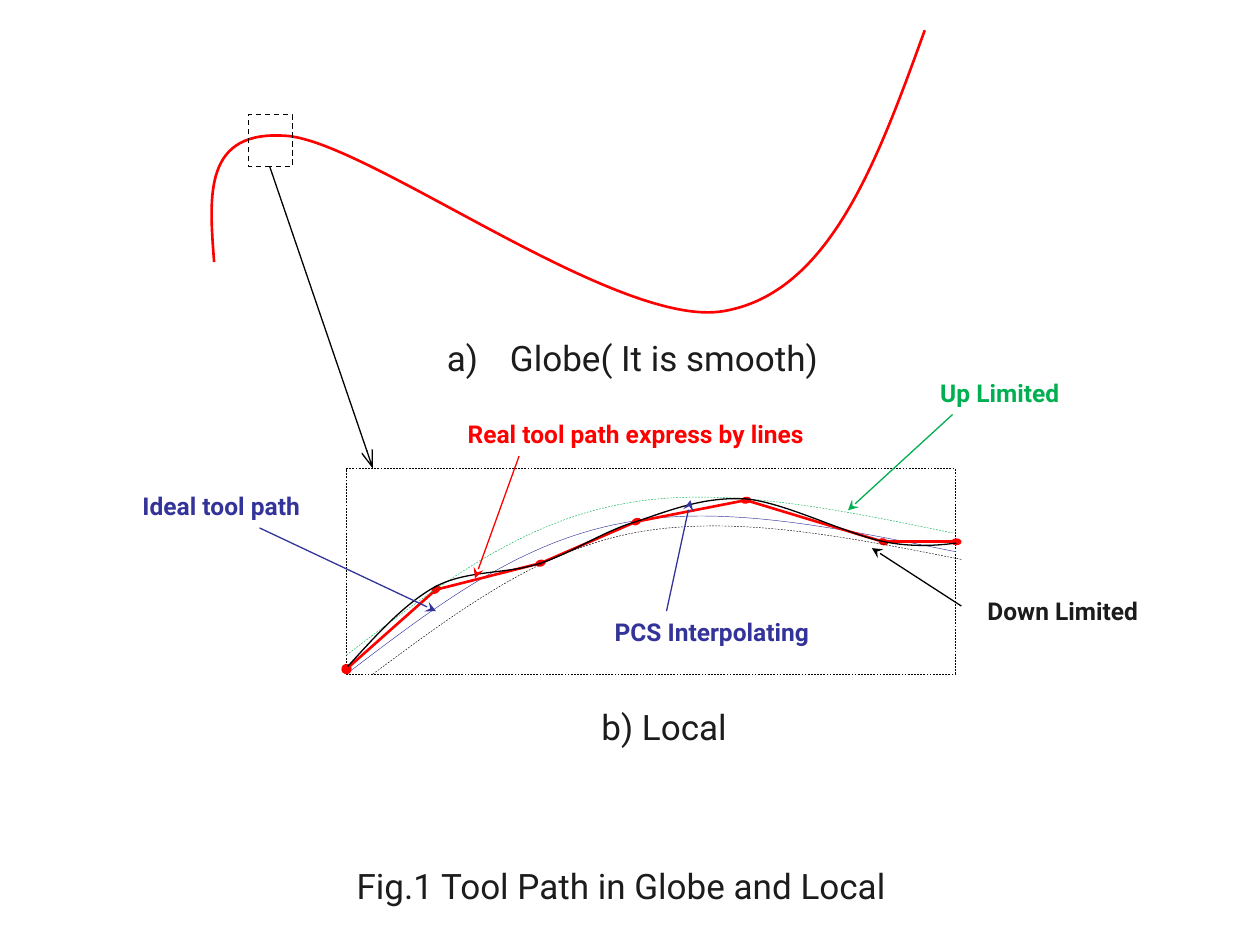
import itertools

import pptx
import pptx.dml.color
import pptx.enum.dml
import pptx.enum.shapes
import pptx.enum.text
import pptx.oxml
import pptx.oxml.ns
import pptx.util

RGB = pptx.dml.color.RGBColor
RED = RGB(0xFF, 0x00, 0x00)
GREEN = RGB(0x00, 0xB0, 0x50)
BLUE = RGB(0x33, 0x33, 0x99)
BLACK = RGB(0x00, 0x00, 0x00)
INK = RGB(0x1C, 0x1C, 0x1C)

FONT = "Roboto"
# The slide is a grid of 1000 columns by 750 rows; all lengths count its cells.
COLUMNS, ROWS = 1000, 750
CELL = pptx.util.Inches(10) // COLUMNS

ROUND_DOT = {"type": "oval"}
FLAT_DOT = {"type": "oval", "w": "sm", "len": "med"}
STEALTH = {"type": "stealth"}
LONG_ARROW = {"type": "arrow", "w": "med", "len": "lg"}


def place(box, point):
    """Turn a point given in cells from the box corner into slide lengths."""
    return (box[0] + point[0]) * CELL, (box[1] + point[1]) * CELL


def style_line(shape, color, width, dashed=False):
    shape.line.color.rgb = color
    shape.line.width = pptx.util.Pt(width)
    if dashed:
        shape.line.dash_style = pptx.enum.dml.MSO_LINE.DASH


def add_element(parent, tag, **attributes):
    element = pptx.oxml.parse_xml(f"<{tag} {pptx.oxml.ns.nsdecls('a')}/>")
    for name, value in attributes.items():
        element.set(name, str(value))
    parent.append(element)
    return element


def add_line(slide, box, start, end, color, width, head=None, tail=None):
    line = slide.shapes.add_connector(
        pptx.enum.shapes.MSO_CONNECTOR.STRAIGHT, *place(box, start), *place(box, end))
    style_line(line, color, width)
    outline = line.line._get_or_add_ln()
    for tag, ending in (("a:headEnd", head), ("a:tailEnd", tail)):
        if ending:
            add_element(outline, tag, **ending)
    add_element(line._element.spPr, "a:effectLst")


def add_curve(slide, box, extent, points, color, width, dashed=False):
    """Draw joined cubic curves: a start, then two controls and an end for each.

    The extent is the left, top, width and height that the curve covers.
    """
    left, top, across, down = extent
    builder = slide.shapes.build_freeform(*place(box, (left, top)))
    builder.add_line_segments([place(box, (left + across, top + down))], close=False)
    curve = builder.convert_to_shape()
    outline = next(curve._element.iter(pptx.oxml.ns.qn("a:path")))
    for segment in list(outline):
        outline.remove(segment)

    def add_segment(tag, stops):
        segment = add_element(outline, tag)
        for x, y in stops:
            add_element(segment, "a:pt", x=(x - left) * CELL, y=(y - top) * CELL)

    add_segment("a:moveTo", points[:1])
    for first in range(1, len(points), 3):
        add_segment("a:cubicBezTo", points[first:first + 3])
    curve.shadow.inherit = False
    curve.fill.background()
    style_line(curve, color, width, dashed)


def add_frame(slide, box, size, width, corner=(0, 0)):
    frame = slide.shapes.add_shape(
        pptx.enum.shapes.MSO_SHAPE.RECTANGLE, *place(box, corner),
        size[0] * CELL, size[1] * CELL)
    frame.shadow.inherit = False
    frame.fill.background()
    style_line(frame, BLACK, width, dashed=True)


def add_text(slide, box, corner, size, text, color=INK, points=20, bold=False,
             numbered=False):
    text_box = slide.shapes.add_textbox(
        *place(box, corner), size[0] * CELL, size[1] * CELL)
    text_box.text_frame.word_wrap = True
    para = text_box.text_frame.paragraphs[0]
    para.alignment = pptx.enum.text.PP_ALIGN.CENTER
    if numbered:
        indent = pptx.util.Inches(0.5)
        properties = para._p.get_or_add_pPr()
        properties.set("marL", str(indent))
        properties.set("indent", str(-indent))
        add_element(properties, "a:buAutoNum", type="alphaLcParenR")
    span = para.add_run()
    span.text = text
    span.font.name = FONT
    span.font.size = pptx.util.Pt(points)
    span.font.bold = bold
    span.font.color.rgb = color


def draw_globe(slide, box):
    """The whole tool path with the window that is enlarged below."""
    tool_path = [(2, 184), (-2, 131), (-7, 78), (61, 84), (128, 91), (322, 237),
                 (406, 223), (490, 209), (528, 105), (566, 0)]
    add_curve(slide, box, (0, 0, 566, 224), tool_path, RED, 1.5)
    add_text(slide, box, (38, 238), (599, 44), "Globe( It is smooth) ", numbered=True)
    add_frame(slide, box, (35, 41), 0.75, corner=(29, 67))


def draw_local(slide, box):
    """The enlarged window: limits, ideal path, line path and interpolation."""
    add_frame(slide, box, box[2:], 0.25)

    ideal = [(0, 163), (67, 112), (134, 60), (215, 44), (295, 27), (389, 47), (484, 66)]
    upper = [(0, 148), (67, 97), (134, 45), (214, 29), (294, 12), (388, 32), (481, 51)]
    lower = [(21, 163), (86, 115), (150, 66), (228, 51), (306, 36), (397, 54), (488, 72)]
    add_curve(slide, box, (0, 38, 483, 126), ideal, BLUE, 0.25)

    nodes = [(0, 159), (71, 96), (154, 75), (230, 42), (317, 25), (426, 58), (484, 58)]
    for start, end in itertools.pairwise(nodes):
        head = ROUND_DOT if start == nodes[0] else None
        add_line(slide, box, start, end, RED, 1.5, head=head, tail=FLAT_DOT)

    add_curve(slide, box, (0, 23, 481, 126), upper, GREEN, 0.25, dashed=True)
    add_curve(slide, box, (21, 46, 466, 118), lower, BLACK, 0.25, dashed=True)

    interpolated = [(1, 157), (23, 133), (45, 108), (70, 94), (96, 80), (128, 84),
                    (154, 75), (181, 66), (203, 50), (230, 42), (257, 33), (284, 22),
                    (317, 24), (349, 27), (399, 53), (427, 58), (455, 64), (484, 59),
                    (484, 59)]
    add_curve(slide, box, (1, 24, 484, 133), interpolated, BLACK, 0.75)

    # Wording, text colour, corner, width, leader tip, leader end, leader colour
    labels = [
        ("Up Limited ", GREEN, (423, -77), 196, (398, 33), (481, -43), GREEN),
        ("Down Limited ", INK, (473, 96), 196, (417, 63), (488, 109), BLACK),
        ("Ideal tool path ", BLUE, (-195, 13), 196, (71, 113), (-69, 47), BLUE),
        ("Real tool path express by lines ", RED, (66, -44), 332, (102, 87), (137, -10), RED),
        ("PCS Interpolating", BLUE, (192, 113), 196, (273, 25), (254, 113), BLUE),
    ]
    for text, color, corner, width, tip, end, leader_color in labels:
        add_line(slide, box, tip, end, leader_color, 0.75, head=STEALTH)
        add_text(slide, box, corner, (width, 34), text, color, points=14, bold=True)
    add_text(slide, box, (-44, 183), (599, 44), "b) Local ")


def main():
    deck = pptx.Presentation()
    deck.slide_width = COLUMNS * CELL
    deck.slide_height = ROWS * CELL
    slide = deck.slides.add_slide(deck.slide_layouts[6])
    whole = (0, 0, COLUMNS, ROWS)
    draw_globe(slide, (168, 24, 566, 224))
    add_line(slide, whole, (214, 132), (296, 372), BLACK, 0.75, tail=LONG_ARROW)
    draw_local(slide, (275, 372, 483, 163))
    add_text(slide, whole, (197, 681), (599, 44), "Fig.1 Tool Path in Globe and Local ")
    deck.save("out.pptx")


if __name__ == "__main__":
    main()
